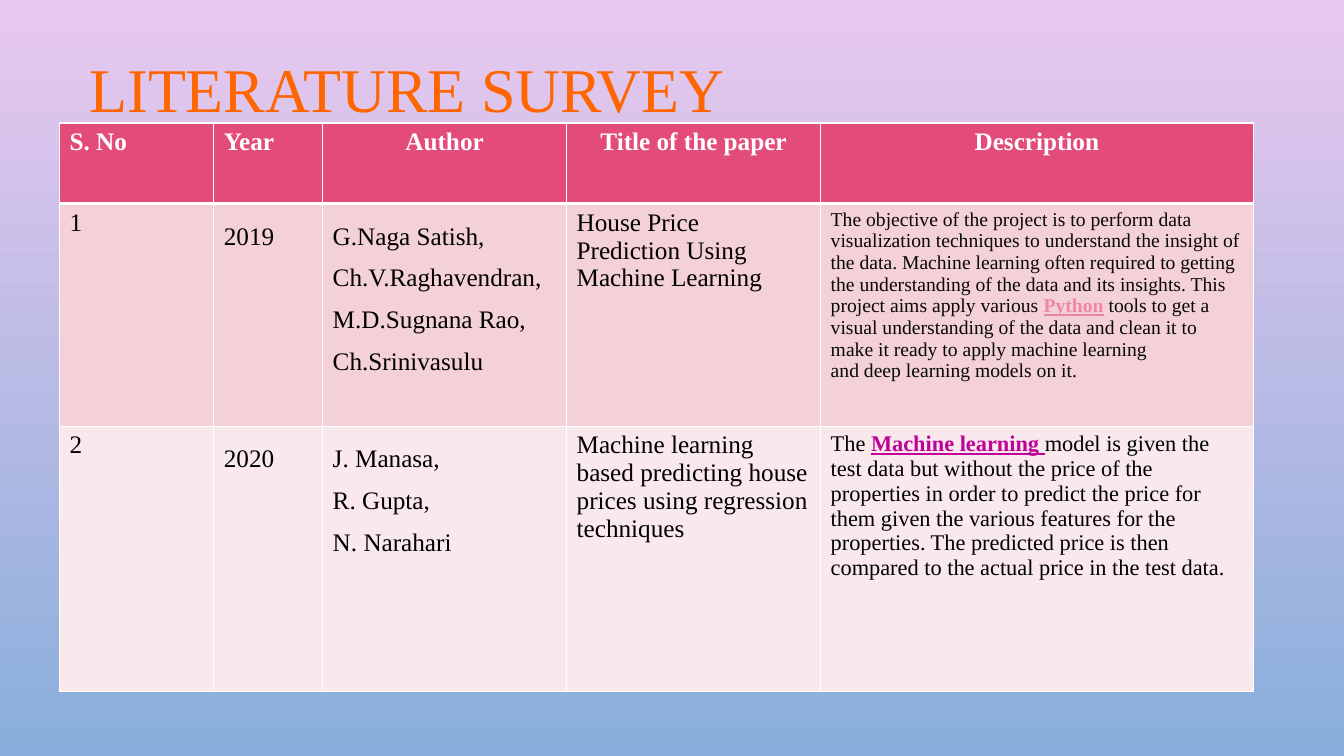
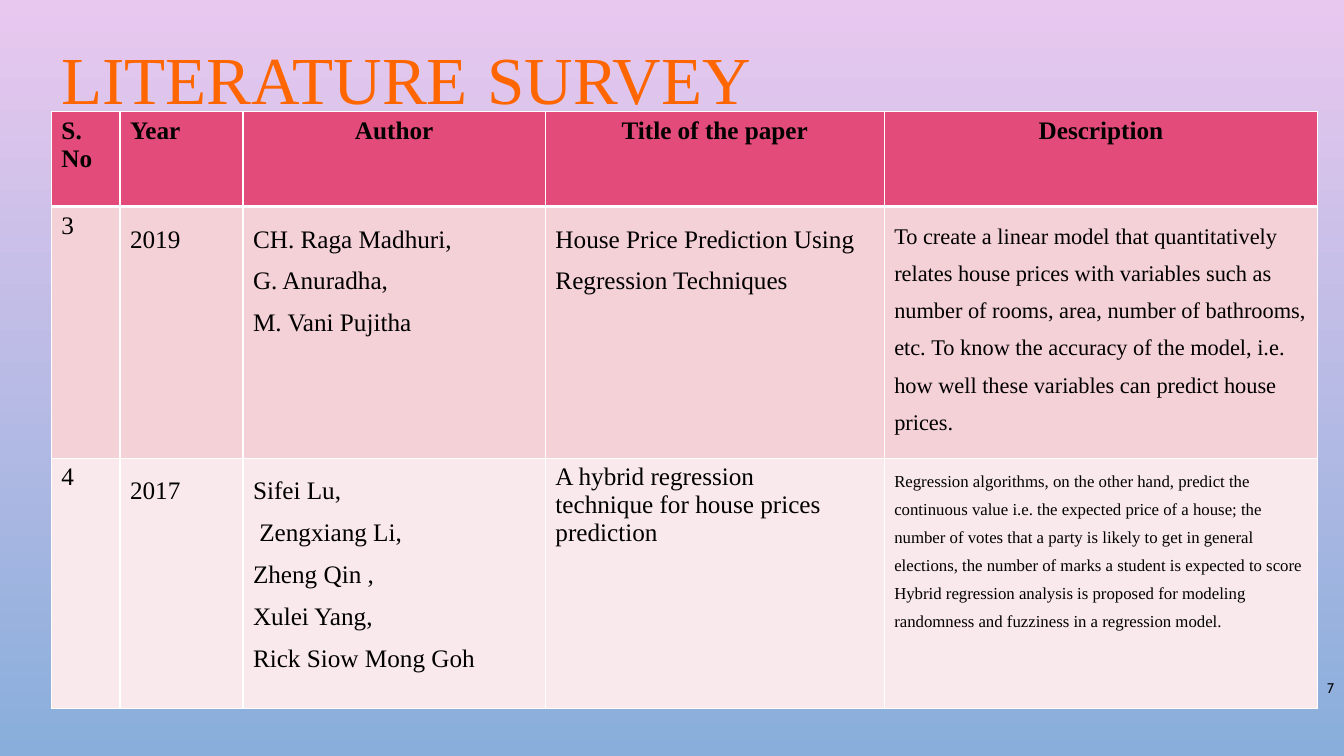
from pptx import Presentation
from pptx.dml.color import RGBColor
from pptx.enum.text import MSO_ANCHOR, PP_ALIGN
from pptx.oxml import parse_xml
from pptx.oxml.ns import nsdecls
from pptx.util import Inches, Pt

COLORS = {
    "sky_top": "E9C8EF", "sky_bottom": "89AEDB", "title": "FF6600",
    "header": "E34B7A", "odd_row": "F4D0D7", "even_row": "FAE9EC",
    "white": "FFFFFF", "black": "000000", "soft_black": "080808",
    "pink_link": "ED87A6", "purple_link": "BE029A",
}
SERIF = "Times New Roman"
HEADINGS = ["S. No", "Year", "Author", "Title of the paper", "Description"]
ROW_FILLS = ["header", "odd_row", "even_row"]


def add_run(paragraph, text, size, color, bold=False, underline=False, font=SERIF):
    run = paragraph.add_run()
    run.text = text
    run.font.name = font
    run.font.size = Pt(size)
    run.font.bold = bold
    run.font.underline = underline
    run.font.color.rgb = RGBColor.from_string(COLORS[color])


def add_text_box(slide, box, alignment):
    frame = slide.shapes.add_textbox(*[Inches(length) for length in box]).text_frame
    frame.word_wrap = True
    frame.paragraphs[0].alignment = alignment
    return frame


surveys = [
    {
        "title_box": (0.59, 0.53, 6.9, 0.93),
        "title_alignment": PP_ALIGN.CENTER,
        "title_runs": [("LITERATURE SURVEY", 44.4)],
        "table_box": (0.59, 1.22, 11.84, 5.63),
        "columns": [1.53, 1.08, 2.42, 2.52, 4.29],
        "rows": [0.8, 2.21, 2.63],
        "heading_color": "white",
        "papers": [
            [
                (18, 1, ["1"]),
                (18, 1.5, ["2019"]),
                (18, 1.5, ["G.Naga Satish, Ch.V.Raghavendran,",
                           "M.D.Sugnana Rao, Ch.Srinivasulu"]),
                (18, 1, ["House Price ", "Prediction Using Machine Learning"]),
                (14, 1, [
                    [("The objective of the project is to perform data visualization "
                      "techniques to understand the insight of the data. Machine learning "
                      "often required to getting the understanding of the data and its "
                      "insights. This project aims apply various\u00a0", "soft_black"),
                     ("Python", "pink_link", True, True),
                     ("\u00a0tools to get a visual understanding of the data and clean it "
                      "to make it ready to apply machine learning", "soft_black")],
                    [("and deep learning models on it.", "soft_black")],
                ]),
            ],
            [
                (18, 1, ["2"]),
                (18, 1.5, ["2020"]),
                (18, 1.5, ["J. Manasa, ", "R. Gupta, ", "N. Narahari"]),
                (18, 1, ["Machine learning based predicting house prices using "
                         "regression techniques"]),
                (16, 1, [
                    [("The ", "black"),
                     ("Machine learning ", "purple_link", True, True),
                     ("model is given the test data but without the price of the "
                      "properties in order to predict the price for them given the "
                      "various features for the properties. The predicted price is then "
                      "compared to the actual price in the test data.", "black")],
                ]),
            ],
        ],
    },
    {
        "title_box": (0.51, 0.34, 7.58, 0.77),
        "title_alignment": PP_ALIGN.LEFT,
        "title_runs": [("LITERATURE", 48), (" ", 54), ("SURVEY", 48)],
        "table_box": (0.51, 1.11, 12.56, 5.76),
        "columns": [0.68, 1.22, 3, 3.36, 4.3],
        "rows": [0.94, 2.34, 2.48],
        "heading_color": "black",
        "page_number": "7",
        "papers": [
            [
                (18, 1, ["3"]),
                (18, 1.5, ["2019"]),
                (18, 1.5, ["CH. Raga Madhuri, ", "G. Anuradha, ", "M. Vani Pujitha"]),
                (18, 1.5, ["House Price Prediction Using Regression Techniques"]),
                (16, 1.5, ["To create a linear model that quantitatively relates house "
                           "prices with variables such as number of rooms, area, number of "
                           "bathrooms, etc.\u00a0To know the accuracy of the model, i.e. how "
                           "well these variables can predict house prices."]),
            ],
            [
                (18, 1, ["4"]),
                (18, 1.5, ["2017"]),
                (18, 1.5, ["Sifei Lu,", " Zengxiang Li, ", "Zheng Qin ,", "Xulei Yang, ",
                           "Rick Siow Mong Goh"]),
                (18, 1, ["A hybrid regression ", "technique for house prices prediction"]),
                (12, 1.5, ["Regression algorithms, on the other hand, predict the continuous "
                           "value i.e. the expected price of a house; the number of votes "
                           "that a party is likely to get in general elections, the number "
                           "of marks a student is expected to score ",
                           "Hybrid regression analysis is\u00a0proposed for modeling "
                           "randomness and fuzziness in a regression model.\u00a0"]),
            ],
        ],
    },
]

presentation = Presentation()
presentation.slide_width = Inches(13.33)
presentation.slide_height = Inches(7.5)

sky = presentation.slide_master.background.fill
sky.gradient()
sky.gradient_angle = 270
for stop, position, color in zip(sky.gradient_stops, (0, 1), ("sky_top", "sky_bottom")):
    stop.position = position
    stop.color.rgb = RGBColor.from_string(COLORS[color])

for survey in surveys:
    slide = presentation.slides.add_slide(presentation.slide_layouts[6])

    title = add_text_box(slide, survey["title_box"], survey["title_alignment"])
    title.paragraphs[0].line_spacing = 0.9
    for text, size in survey["title_runs"]:
        add_run(title.paragraphs[0], text, size, "title")

    if "page_number" in survey:
        footer = add_text_box(slide, (10.69, 6.64, 2.64, 0.36), PP_ALIGN.RIGHT)
        footer.vertical_anchor = MSO_ANCHOR.MIDDLE
        add_run(footer.paragraphs[0], survey["page_number"], 10, "black", font="Cabin")

    box = [Inches(length) for length in survey["table_box"]]
    table = slide.shapes.add_table(len(survey["rows"]), len(survey["columns"]), *box).table
    table.horz_banding = False
    for column, width in zip(table.columns, survey["columns"]):
        column.width = Inches(width)
    for row, height in zip(table.rows, survey["rows"]):
        row.height = Inches(height)

    header = [(18, 1, [[(heading, survey["heading_color"], True)]]) for heading in HEADINGS]
    for row_index, contents in enumerate([header] + survey["papers"]):
        for column_index, (size, spacing, paragraphs) in enumerate(contents):
            cell = table.cell(row_index, column_index)
            for index, runs in enumerate(paragraphs):
                frame = cell.text_frame
                paragraph = frame.add_paragraph() if index else frame.paragraphs[0]
                paragraph.line_spacing = spacing
                if row_index == 0 and column_index >= 2:
                    paragraph.alignment = PP_ALIGN.CENTER
                if isinstance(runs, str):
                    runs = [(runs, "black")]
                for text, *style in runs:
                    add_run(paragraph, text, size, *style)

            properties = cell._tc.get_or_add_tcPr()
            for side in ("L", "R", "T", "B"):
                thick = (row_index, side) in ((0, "B"), (1, "T"))
                properties.append(parse_xml(
                    f'<a:ln{side} {nsdecls("a")} w="{Pt(3 if thick else 1)}"><a:solidFill>'
                    f'<a:srgbClr val="{COLORS["white"]}"/></a:solidFill></a:ln{side}>'))
            cell.fill.solid()
            cell.fill.fore_color.rgb = RGBColor.from_string(COLORS[ROW_FILLS[row_index]])

presentation.save("out.pptx")
